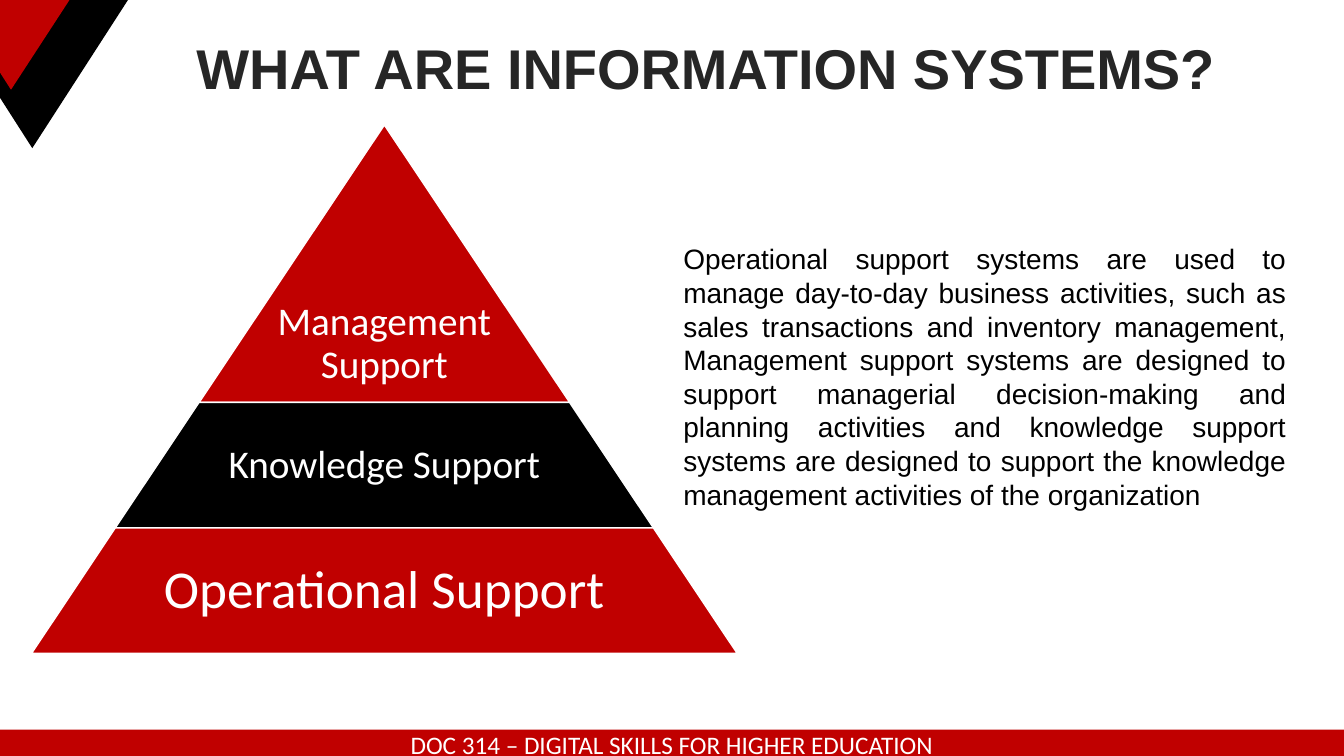
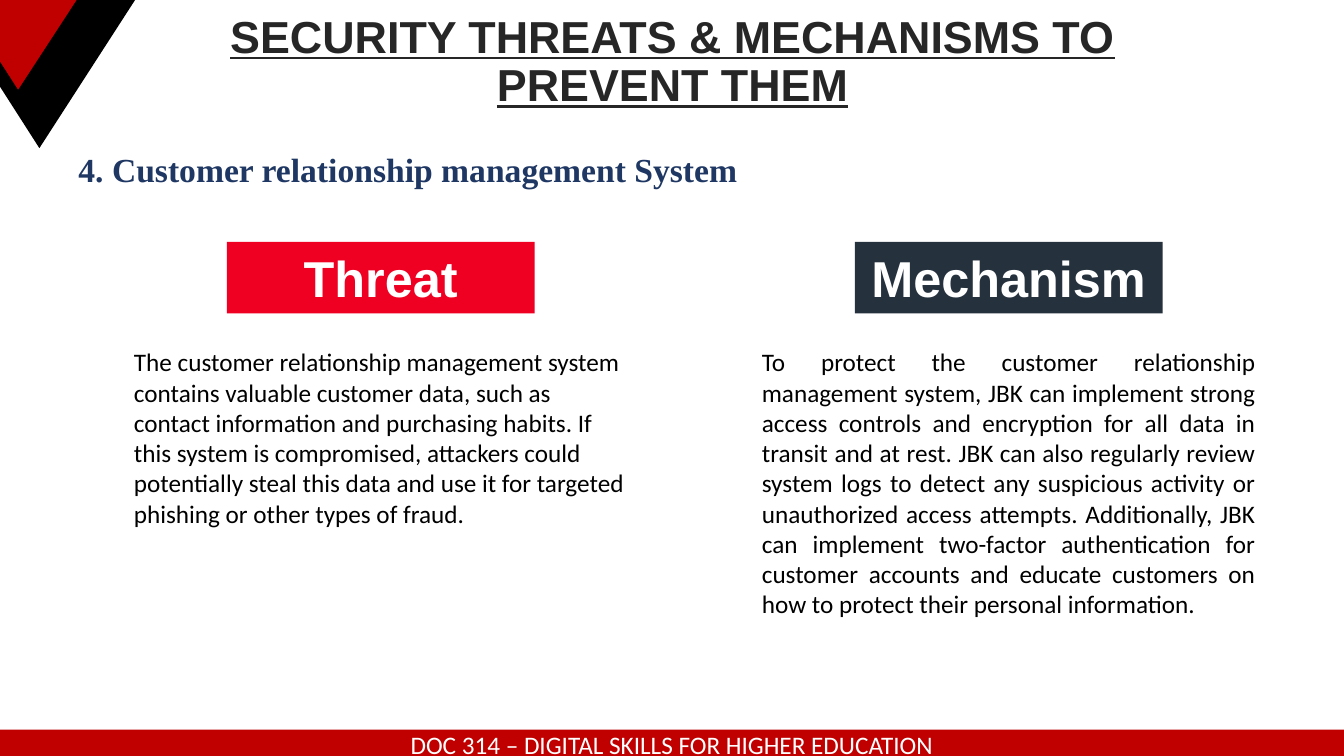
from pptx import Presentation
from pptx.dml.color import RGBColor
from pptx.enum.shapes import MSO_SHAPE
from pptx.enum.text import MSO_ANCHOR, MSO_AUTO_SIZE, PP_ALIGN
from pptx.util import Inches, Pt

RED, BLACK, WHITE = "C00000", "000000", "FFFFFF"
TITLE_GREY, NAVY, SCARLET, SLATE = "262626", "1F3763", "EF0023", "25313D"
FOOTER = "DOC 314 – DIGITAL SKILLS FOR HIGHER EDUCATION"
TITLE_ONLY = 5

OPERATIONS = (
    "Operational support systems are used to manage day-to-day business "
    "activities, such as sales transactions and inventory management, "
    "Management support systems are designed to support managerial "
    "decision-making and planning activities and knowledge support systems "
    "are designed to support the knowledge management activities of the "
    "organization")
THREAT = (
    "The customer relationship management system contains valuable customer "
    "data, such as contact information and purchasing habits. If this system "
    "is compromised, attackers could potentially steal this data and use it "
    "for targeted phishing or other types of fraud.")
MECHANISM = (
    "To protect the customer relationship management system, JBK can "
    "implement strong access controls and encryption for all data in transit "
    "and at rest. JBK can also regularly review system logs to detect any "
    "suspicious activity or unauthorized access attempts. Additionally, JBK "
    "can implement two-factor authentication for customer accounts and "
    "educate customers on how to protect their personal information.")


def color(hex_code):
    return RGBColor.from_string(hex_code)


class Deck:
    """Shared style and current page; lengths are percent of the slide."""

    def __init__(self):
        self.deck = Presentation()
        self.deck.slide_width = Inches(13.33)
        self.deck.slide_height = Inches(7.5)
        self.page = None

    def x(self, share):
        return round(self.deck.slide_width * share / 100)

    def y(self, share):
        return round(self.deck.slide_height * share / 100)

    def area(self, left, top, width, height):
        return self.x(left), self.y(top), self.x(width), self.y(height)

    def start_page(self, title, title_area, size, underline=None, mark_left=0):
        self.page = self.deck.slides.add_slide(self.deck.slide_layouts[TITLE_ONLY])
        # Corner mark
        self.corner(mark_left, 10.05, 19.6, 2.93, 11.47, BLACK)
        self.corner(mark_left, 5.7, 11.87, 1.35, 8.13, RED)
        # Title placeholder
        box = self.page.shapes.title
        box.left, box.top, box.width, box.height = self.area(*title_area)
        self.set_text(box, title, size, "Arial", TITLE_GREY, bold=True,
                      underline=underline, align=PP_ALIGN.CENTER,
                      anchor=MSO_ANCHOR.MIDDLE, spacing=0.9)
        # Footer band
        self.band((-0.65, 96.53, 101.3, 4), RED, FOOTER, 18, "Calibri")

    def corner(self, left, width, height, tip, side, fill):
        points = [(self.x(left + across), self.y(down)) for across, down in
                  [(0, 0), (width, 0), (tip, height), (0, side)]]
        builder = self.page.shapes.build_freeform(*points[0])
        builder.add_line_segments(points[1:], close=True)
        self.paint(builder.convert_to_shape(), fill)

    def paint(self, shape, fill, line=None):
        shape.shadow.inherit = False
        shape.fill.solid()
        shape.fill.fore_color.rgb = color(fill)
        if line:
            shape.line.color.rgb = color(line)
            shape.line.width = Pt(1)
        else:
            shape.line.fill.background()

    def set_text(self, box, text, size, font, ink=BLACK, bold=False,
                 underline=None, align=PP_ALIGN.LEFT, anchor=MSO_ANCHOR.TOP,
                 spacing=1.0, wrap=True):
        frame = box.text_frame
        frame.text = text
        frame.word_wrap = wrap
        frame.auto_size = MSO_AUTO_SIZE.NONE
        frame.vertical_anchor = anchor
        for para in frame.paragraphs:
            para.alignment = align
            para.line_spacing = spacing
            for span in para.runs:
                span.font.name = font
                span.font.size = Pt(size)
                span.font.bold = bold
                span.font.underline = underline
                span.font.color.rgb = color(ink)

    def text(self, area, text, size, font, **style):
        box = self.page.shapes.add_textbox(*self.area(*area))
        self.set_text(box, text, size, font, **style)

    def band(self, area, fill, text, size, font, bold=False):
        shape = self.page.shapes.add_shape(MSO_SHAPE.RECTANGLE, *self.area(*area))
        self.paint(shape, fill)
        self.set_text(shape, text, size, font, WHITE, bold,
                      align=PP_ALIGN.CENTER, anchor=MSO_ANCHOR.MIDDLE)

    def pyramid(self, center, top, width, tiers):
        """Stack trapezoids; each tier is text, height, fill, size, lift."""
        total = sum(tier[1] for tier in tiers)
        slope = self.x(width) / 2 / self.y(total)
        depth = 0
        for text, height, fill, size, lift in tiers:
            start, depth = depth, depth + height
            base = width * depth / total
            shape = self.page.shapes.add_shape(
                MSO_SHAPE.TRAPEZOID,
                *self.area(center - base / 2, top + start, base, height))
            shape.adjustments[0] = slope
            self.paint(shape, fill, WHITE)
            self.set_text(shape, text, size, "Calibri", WHITE,
                          align=PP_ALIGN.CENTER, anchor=MSO_ANCHOR.BOTTOM,
                          spacing=0.9, wrap=False)
            shape.text_frame.margin_bottom = self.y(lift)


def main():
    show = Deck()

    # Information systems pyramid
    show.start_page("WHAT ARE INFORMATION SYSTEMS?",
                    (9.38, 4.67, 86.25, 9.47), 40, mark_left=-0.53)
    show.pyramid(28.6, 16.53, 52.5, [
        ("Management\nSupport", 36.7, RED, 28, 2.1),
        ("Knowledge Support", 16.6, BLACK, 28, 5.4),
        ("Operational Support", 16.6, RED, 38, 4.4),
    ])
    show.text((50.1, 31.33, 46.35, 37.2), OPERATIONS, 20, "Arial",
              align=PP_ALIGN.JUSTIFY)

    # Threat and mechanism columns
    show.start_page("SECURITY THREATS & MECHANISMS TO PREVENT THEM",
                    (9.45, 1.4, 81.2, 13.8), 32, underline=True)
    show.text((5.1, 17.47, 90, 9.47),
              "4. Customer relationship management System", 24,
              "Times New Roman", ink=NAVY, bold=True,
              anchor=MSO_ANCHOR.MIDDLE, spacing=1.07)
    column, label = 38.2, 22.9
    for left, heading, fill, body, align in [
            (9.23, "Threat", SCARLET, THREAT, PP_ALIGN.LEFT),
            (55.95, "Mechanism", SLATE, MECHANISM, PP_ALIGN.JUSTIFY)]:
        show.band((left + (column - label) / 2, 32, label, 9.47), fill,
                  heading, 36, "Arial", bold=True)
        show.text((left, 45.2, column, 36.3), body, 18, "Calibri", align=align)

    show.deck.save("out.pptx")


if __name__ == "__main__":
    main()
